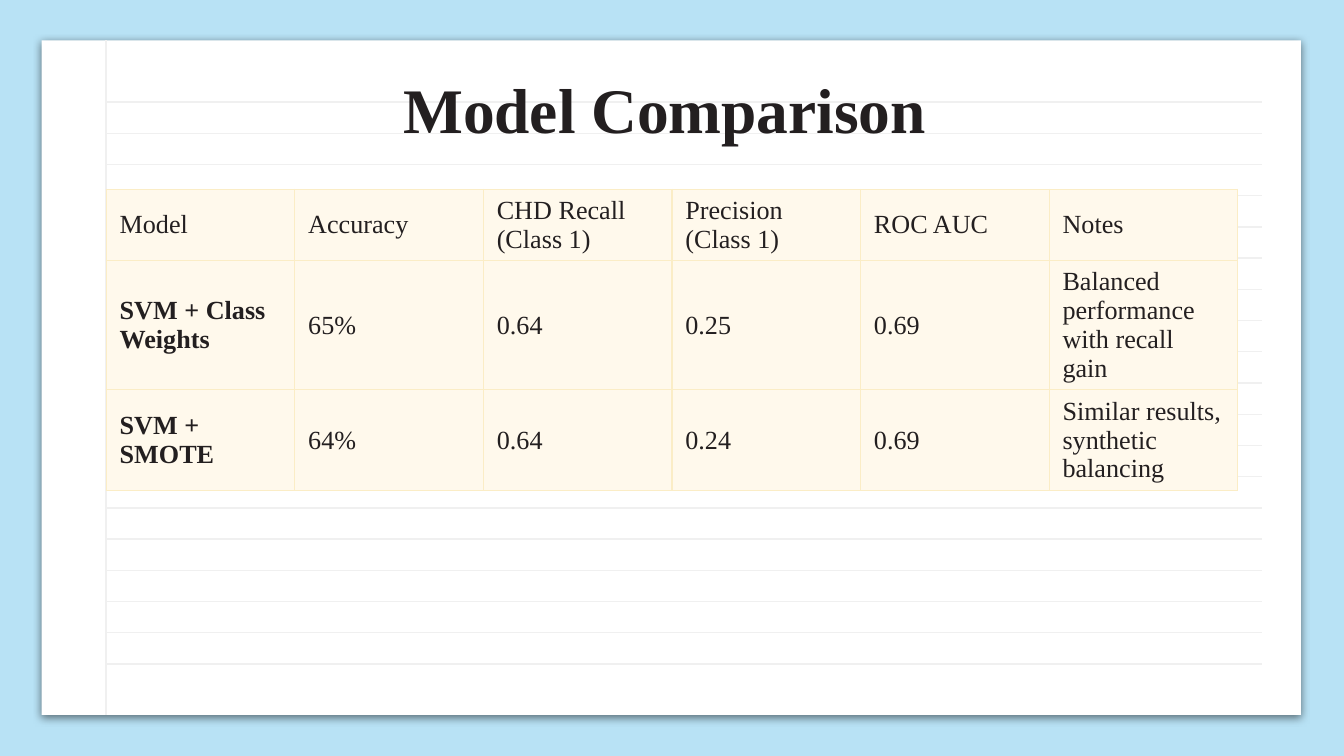
from lxml import etree
from pptx import Presentation
from pptx.dml.color import RGBColor
from pptx.enum.shapes import MSO_CONNECTOR, MSO_SHAPE
from pptx.enum.text import MSO_ANCHOR, MSO_AUTO_SIZE, PP_ALIGN
from pptx.oxml import parse_xml
from pptx.oxml.ns import nsdecls, qn
from pptx.util import Inches, Pt

STRAIGHT = MSO_CONNECTOR.STRAIGHT
RECTANGLE = MSO_SHAPE.RECTANGLE
MIDDLE = MSO_ANCHOR.MIDDLE
NO_AUTOFIT = MSO_AUTO_SIZE.NONE
CENTER = PP_ALIGN.CENTER

TITLE_ONLY = 5
SLIDE_WIDTH = 10
FONT = "Times New Roman"
SKY, PAPER, RULE, INK = "B8E2F5", "FFFFFF", "F0F0F0", "231F20"
CREAM, GOLD = "FFF9EC", "FBEDC6"

RESULTS = [
    ["Model", "Accuracy", "CHD Recall (Class 1)", "Precision (Class 1)",
     "ROC AUC", "Notes"],
    ["SVM + Class Weights", "65%", "0.64", "0.25", "0.69",
     "Balanced performance with recall gain"],
    ["SVM + SMOTE", "64%", "0.64", "0.24", "0.69",
     "Similar results, synthetic balancing"],
]
ROW_HEIGHTS = [0.53, 0.96, 0.75]


def color(hex_value):
    return RGBColor.from_string(hex_value)


def write(paragraph, text, size, bold=False):
    run = paragraph.add_run()
    run.text = text
    font_format = {"name": FONT, "size": Pt(size), "bold": bold}
    for attribute, value in font_format.items():
        setattr(run.font, attribute, value)
    run.font.color.rgb = color(INK)


def add_rule(slide, x1, y1, x2, y2):
    rule = slide.shapes.add_connector(
        STRAIGHT, Inches(x1), Inches(y1), Inches(x2), Inches(y2))
    rule.line.color.rgb = color(RULE)
    rule.line.width = Pt(0.75)
    etree.SubElement(rule._element.spPr, qn("a:effectLst"))


def add_notebook_sheet(slide, left, top, width, height):
    """White sheet with a soft shadow, evenly spaced rules and a margin line."""
    sheet = slide.shapes.add_shape(
        RECTANGLE, Inches(left), Inches(top), Inches(width), Inches(height))
    sheet.fill.solid()
    sheet.fill.fore_color.rgb = color(PAPER)
    sheet.line.fill.background()
    sheet._element.spPr.append(parse_xml(
        f'<a:effectLst {nsdecls("a")}>'
        f'<a:outerShdw blurRad="{Pt(4.5)}" dist="{Pt(1.5)}" dir="5400000"'
        ' algn="bl" rotWithShape="0"><a:srgbClr val="000000">'
        '<a:alpha val="50000"/></a:srgbClr></a:outerShdw></a:effectLst>'))

    margin = left + 0.48
    first, last, count = top + 0.46, top + 4.64, 19
    gap = (last - first) / (count - 1)
    for index in range(count):
        y = first + index * gap
        add_rule(slide, margin, y, left + width - 0.29, y)
    add_rule(slide, margin, top, margin, top + height)


def place_title(slide, text, left, top, width, height):
    title = slide.shapes.title
    slide.shapes._spTree.append(title._element)  # bring in front of the sheet
    box = {"left": left, "top": top, "width": width, "height": height}
    for attribute, value in box.items():
        setattr(title, attribute, Inches(value))
    frame = title.text_frame
    frame_format = {"word_wrap": True, "auto_size": NO_AUTOFIT,
                    "vertical_anchor": MIDDLE}
    frame_format.update({f"margin_{side}": Inches(0.1)
                         for side in ("left", "right", "top", "bottom")})
    for attribute, value in frame_format.items():
        setattr(frame, attribute, value)
    frame.paragraphs[0].alignment = CENTER
    write(frame.paragraphs[0], text, 34, bold=True)


def set_borders(cell):
    properties = cell._tc.get_or_add_tcPr()
    for position, side in enumerate(("lnL", "lnR", "lnT", "lnB")):
        properties.insert(position, parse_xml(
            f'<a:{side} {nsdecls("a")} w="{Pt(0.75)}"><a:solidFill>'
            f'<a:srgbClr val="{GOLD}"/></a:solidFill></a:{side}>'))


def add_results_table(slide, left, top, width):
    table = slide.shapes.add_table(
        len(RESULTS), len(RESULTS[0]), Inches(left), Inches(top),
        Inches(width), Inches(sum(ROW_HEIGHTS))).table
    for column in table.columns:
        column.width = Inches(width / len(RESULTS[0]))
    for r, (values, height) in enumerate(zip(RESULTS, ROW_HEIGHTS)):
        table.rows[r].height = Inches(height)
        for c, value in enumerate(values):
            cell = table.cell(r, c)
            cell.vertical_anchor = MIDDLE
            cell.fill.solid()
            cell.fill.fore_color.rgb = color(CREAM)
            set_borders(cell)
            write(cell.text_frame.paragraphs[0], value, 14,
                  bold=r > 0 and c == 0)


def main():
    deck = Presentation()
    deck.slide_width = Inches(SLIDE_WIDTH)
    deck.slide_height = Inches(SLIDE_WIDTH * 9 / 16)
    slide = deck.slides.add_slide(deck.slide_layouts[TITLE_ONLY])
    slide.background.fill.solid()
    slide.background.fill.fore_color.rgb = color(SKY)
    add_notebook_sheet(slide, 0.31, 0.3, 9.37, 5.02)
    place_title(slide, "Model Comparison ", 0.79, 0.49, 8.43, 0.63)
    add_results_table(slide, 0.79, 1.41, 8.42)
    deck.save("out.pptx")


if __name__ == "__main__":
    main()
